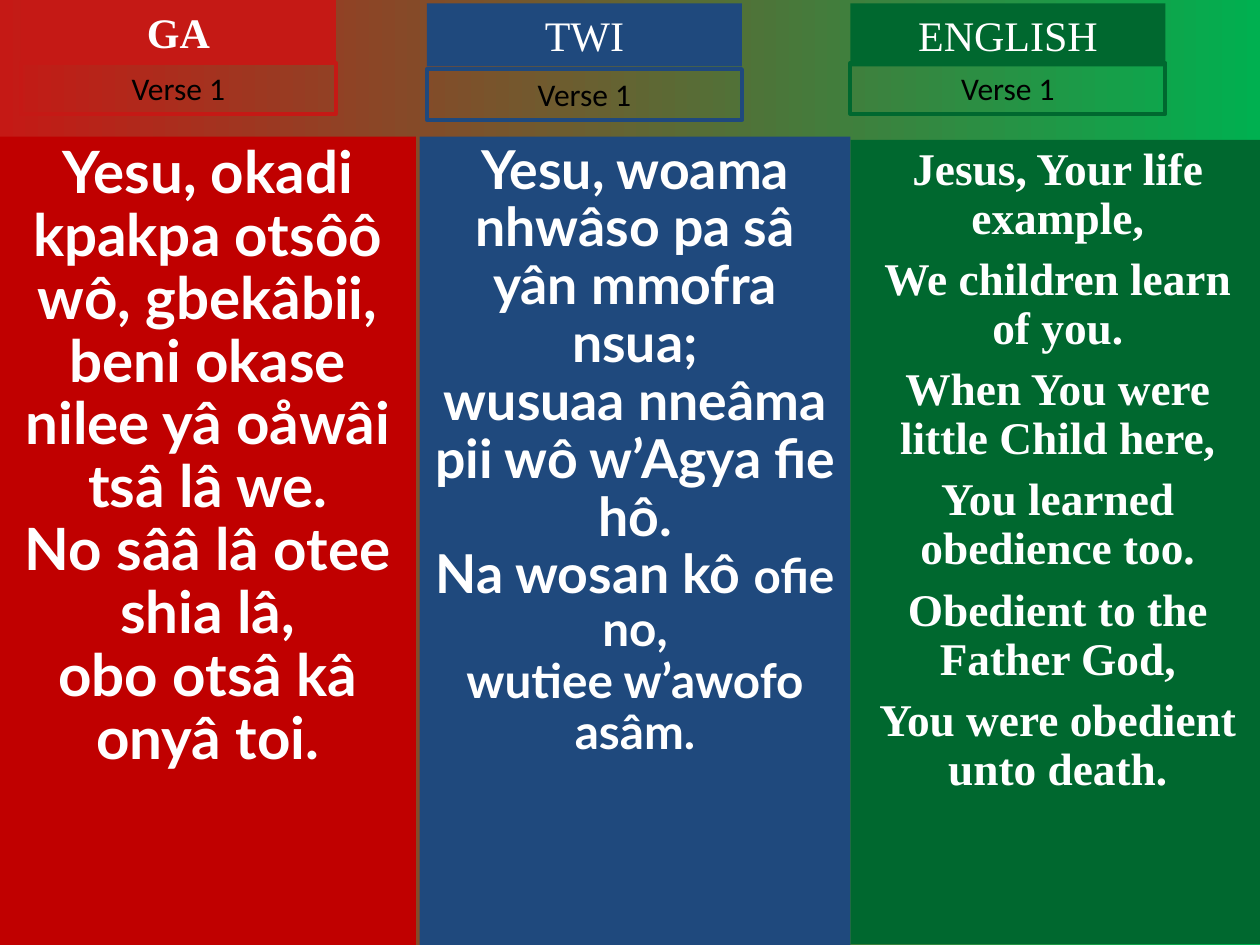
from lxml.etree import SubElement
from pptx import Presentation
from pptx.dml.color import RGBColor
from pptx.enum.text import MSO_ANCHOR, MSO_AUTO_SIZE, PP_ALIGN
from pptx.oxml.ns import qn
from pptx.util import Pt

COLORS = {
    "ga_heading": "C51915", "ga": "C00000", "twi": "1F497D",
    "english": "00682F", "green": "00B050", "white": "FFFFFF", "black": "000000",
}


def color(name):
    return RGBColor.from_string(COLORS[name])


def fill_text(shape, place, lines, font, size, text_color, bold=False, spacing=1, before=0):
    """Place a text shape and write its centred lines, without bullets."""
    shape.left, shape.top, shape.width, shape.height = map(Pt, place)
    frame = shape.text_frame
    frame.word_wrap = True
    frame.auto_size = MSO_AUTO_SIZE.NONE
    frame.vertical_anchor = MSO_ANCHOR.TOP
    frame.text = "\n".join(lines)
    for index, paragraph in enumerate(frame.paragraphs):
        properties = paragraph._p.get_or_add_pPr()
        properties.set("marL", "0")
        properties.set("indent", "0")
        SubElement(properties, qn("a:buNone"))
        paragraph.alignment = PP_ALIGN.CENTER
        paragraph.line_spacing = spacing
        paragraph.space_before = Pt(before if index else 0)
        for run in paragraph.runs:
            run.font.name = font
            run.font.size = Pt(size)
            run.font.bold = bold
            run.font.color.rgb = color(text_color)


presentation = Presentation()
presentation.slide_width, presentation.slide_height = Pt(720), Pt(540)
slide = presentation.slides.add_slide(presentation.slide_layouts[3])
title, ga_body, twi_body = slide.placeholders

# Background: red to green, left to right
background = slide.background.fill
background.gradient()
background.gradient_angle = 0
for stop, name, position in zip(background.gradient_stops, ("ga_heading", "green"), (0, 1)):
    stop.color.rgb = color(name)
    stop.position = position

# Verse panels: shape, place, fill, font, size, space before, lines
panels = [
    (ga_body, (0, 78, 237.6, 462), "ga", "Lato", 33.3, 0, [
        "Yesu, okadi kpakpa otsôô wô, gbekâbii,",
        "beni okase nilee yâ oåwâi tsâ lâ we.",
        "No sââ lâ otee shia lâ,",
        "obo otsâ kâ onyâ toi.",
    ]),
    (twi_body, (239.8, 78, 246.2, 462), "twi", "Lato", 30.6, 0, [
        "Yesu, woama nhwâso pa sâ yân mmofra nsua;",
        "wusuaa nneâma pii wô w’Agya fie hô.",
        "Na wosan kô ",
        "wutiee w’awofo asâm.",
    ]),
    (slide.shapes.add_textbox(0, 0, 0, 0), (486, 80, 236.9, 459.4), "english",
     "Times New Roman", 25.9, 7, [
        "Jesus, Your life example,",
        "We children learn of you.",
        "When You were little Child here,",
        "You learned obedience too.",
        "Obedient to the Father God,",
        "You were obedient unto death.",
    ]),
]
for shape, place, fill, font, size, before, lines in panels:
    shape.fill.solid()
    shape.fill.fore_color.rgb = color(fill)
    fill_text(shape, place, lines, font, size, "white", True, 0.9, before)

# The Twi verse ends in smaller type
third, last = twi_body.text_frame.paragraphs[2:]
ending = third.add_run()
ending.text = "ofie no,"
ending.font.name = "Lato"
ending.font.bold = True
ending.font.color.rgb = color("white")
for run in (ending, *last.runs):
    run.font.size = Pt(27.2)

# Language headings with a framed verse label under each
headings = [
    ("GA", "ga_heading", 12, 0, 36),
    ("TWI", "twi", 244, 2, 39.5),
    ("ENGLISH", "english", 486, 2, 36),
]
for text, name, left, top, label_top in headings:
    heading = title if text == "GA" else slide.shapes.add_textbox(0, 0, 0, 0)
    heading.fill.solid()
    heading.fill.fore_color.rgb = color(name)
    fill_text(heading, (left, top, 180, 36), [text], "Times New Roman", 24, "white", text == "GA")

    label = slide.shapes.add_textbox(0, 0, 0, 0)
    label.line.color.rgb = color(name)
    label.line.width = Pt(2.25)
    fill_text(label, (left, label_top, 180, 29), ["Verse 1"], "Calibri", 18, "black")

presentation.save("out.pptx")
